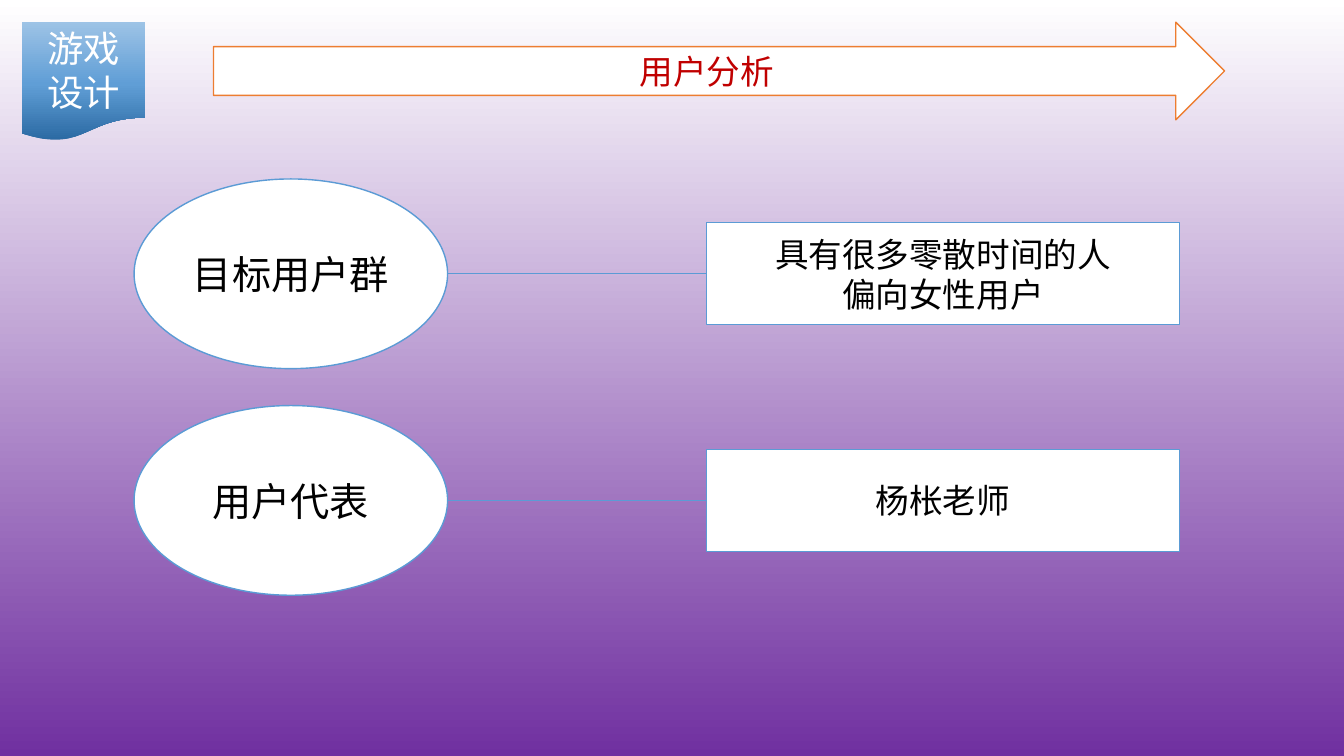
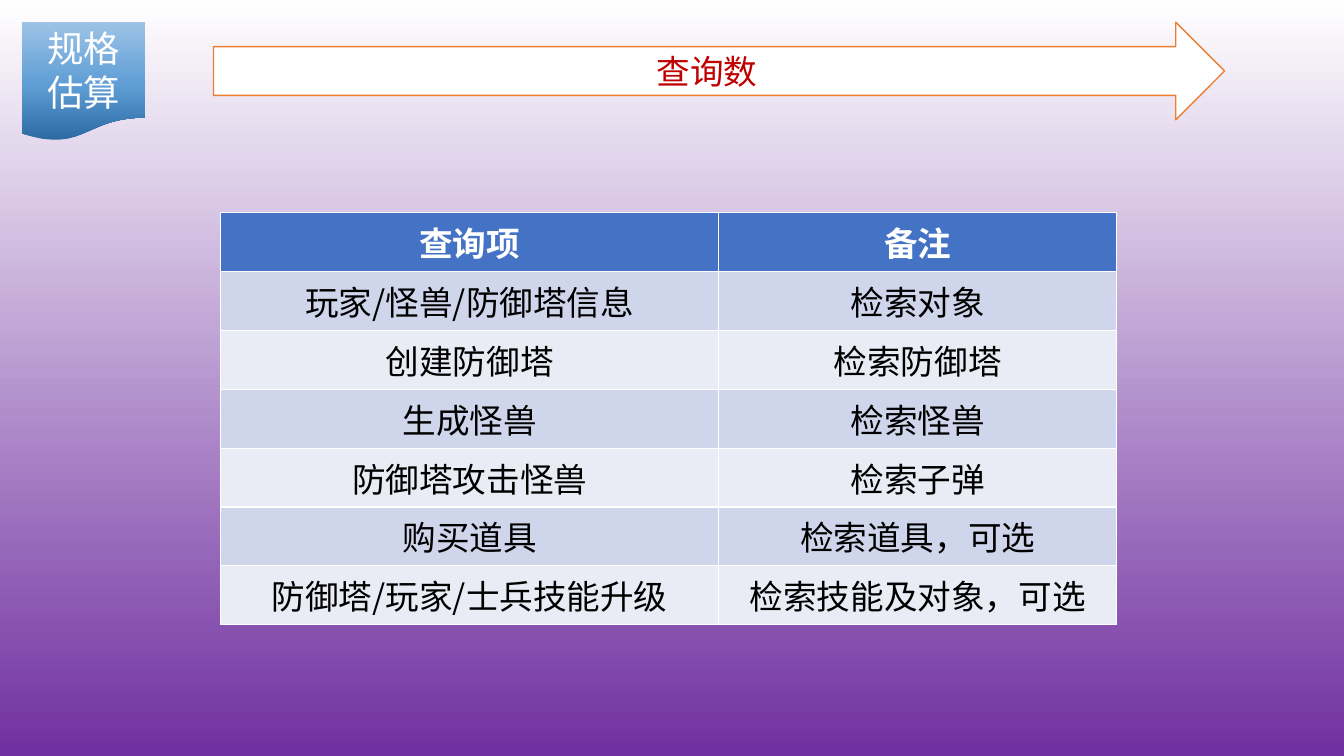
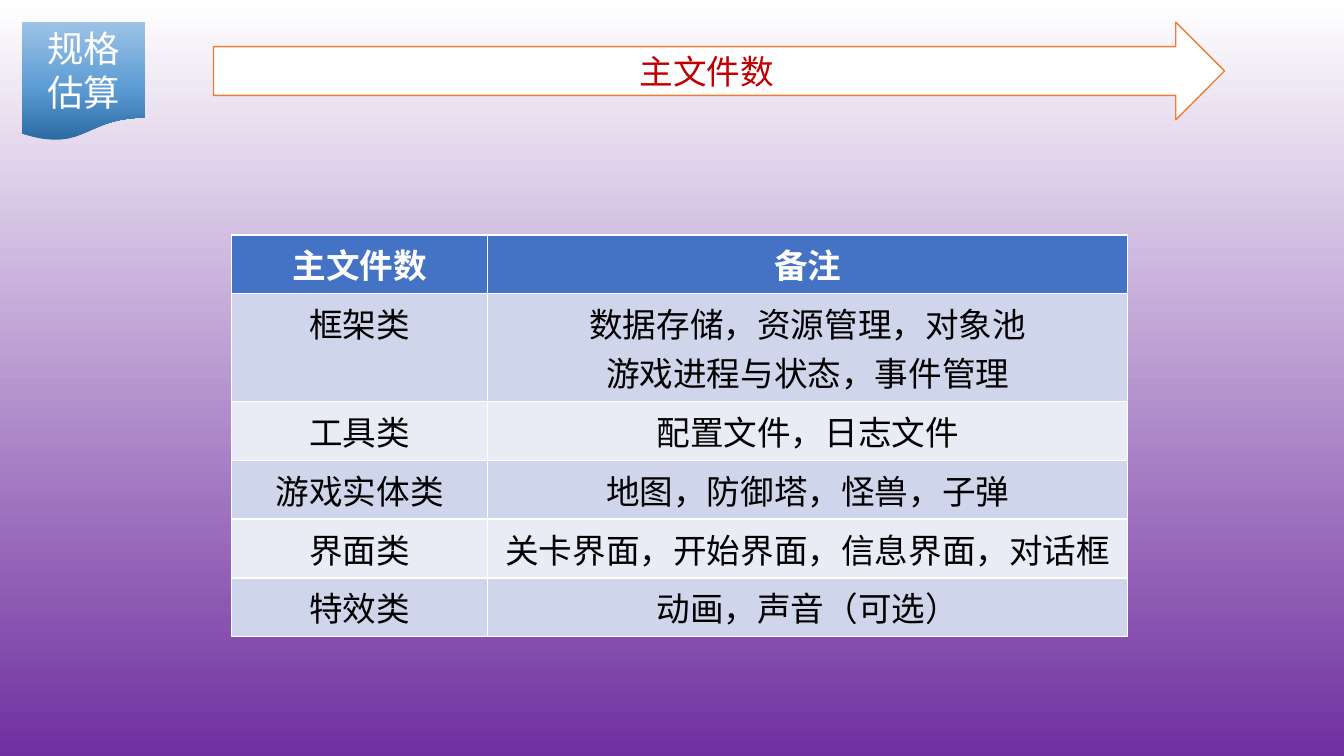
import copy

import pptx
import pptx.dml.color
import pptx.enum.shapes
import pptx.enum.text
import pptx.oxml.ns
import pptx.util
from lxml import etree

Cm = pptx.util.Cm
Pt = pptx.util.Pt
SHAPES = pptx.enum.shapes.MSO_SHAPE

FONT = "Noto Sans CJK SC"
COLORS = {
    "white": "FFFFFF",
    "black": "000000",
    "title": "C00000",
    "arrow_line": "ED7D31",
    "box_line": "5B9BD5",
    "purple": "7030A0",
    "tag_dark": "2A69A2",
    "tag_middle": "609ED6",
    "tag_light": "9DC3E6",
    "header": "4472C4",
    "band_dark": "CFD5EA",
    "band_light": "E9EBF5",
}

USER_ROWS = [
    ("目标用户群", "具有很多零散时间的人\n偏向女性用户"),
    ("用户代表", "杨枨老师"),
]
QUERY_ROWS = [
    ("查询项", "备注"),
    ("玩家/怪兽/防御塔信息", "检索对象"),
    ("创建防御塔", "检索防御塔"),
    ("生成怪兽", "检索怪兽"),
    ("防御塔攻击怪兽", "检索子弹"),
    ("购买道具", "检索道具，可选"),
    ("防御塔/玩家/士兵技能升级", "检索技能及对象，可选"),
]
FILE_ROWS = [
    ("主文件数", "备注"),
    ("框架类", "数据存储，资源管理，对象池\n游戏进程与状态，事件管理"),
    ("工具类", "配置文件，日志文件"),
    ("游戏实体类", "地图，防御塔，怪兽，子弹"),
    ("界面类", "关卡界面，开始界面，信息界面，对话框"),
    ("特效类", "动画，声音（可选）"),
]


def rgb(name):
    """Return the named colour as an RGBColor."""
    return pptx.dml.color.RGBColor.from_string(COLORS[name])


def write_text(text_frame, text, size=24, color="black", bold=False):
    """Write centred text, one paragraph per line."""
    text_frame.text = text
    for paragraph in text_frame.paragraphs:
        paragraph.alignment = pptx.enum.text.PP_ALIGN.CENTER
        for run in paragraph.runs:
            run.font.name = FONT
            run.font.size = Pt(size)
            run.font.bold = bold
            run.font.color.rgb = rgb(color)
            east_asian = etree.SubElement(
                run.font._element, pptx.oxml.ns.qn("a:ea"))
            east_asian.set("typeface", FONT)


def set_gradient(fill, element, stops, angle):
    """Give a fill a linear gradient of (position, colour) stops."""
    fill.gradient()
    fill.gradient_angle = angle
    stop_list = element.xpath(".//a:gsLst")[0]
    while len(stop_list) < len(stops):
        stop_list.append(copy.deepcopy(stop_list[0]))
    for stop, (position, color) in zip(fill.gradient_stops, stops):
        stop.position = position
        stop.color.rgb = rgb(color)


def add_shape(slide, kind, left, top, width, height, line="box_line"):
    """Add a white preset shape, outlined in the named colour."""
    shape = slide.shapes.add_shape(kind, left, top, width, height)
    shape.shadow.inherit = False
    shape.fill.solid()
    shape.fill.fore_color.rgb = rgb("white")
    if line:
        shape.line.color.rgb = rgb(line)
        shape.line.width = Pt(1)
    else:
        shape.line.fill.background()
    return shape


def add_link(slide, start, end, middle):
    """Join the right side of one shape to the left side of another."""
    connector = slide.shapes.add_connector(
        pptx.enum.shapes.MSO_CONNECTOR.ELBOW,
        start.left + start.width, middle, end.left, middle)
    connector.line.color.rgb = rgb("box_line")
    connector.line.width = Pt(1)
    etree.SubElement(connector._element.spPr,
                     pptx.oxml.ns.qn("a:effectLst"))


def add_page(presentation, section, heading):
    """Add a slide with its section tag and its title on an arrow."""
    slide = presentation.slides.add_slide(presentation.slide_layouts[5])
    tag = add_shape(slide, SHAPES.FLOWCHART_DOCUMENT,
                    Cm(0.56), Cm(0.56), Cm(3.1), Cm(3), line=None)
    set_gradient(tag.fill, tag._element,
                 [(0, "tag_dark"), (0.48, "tag_middle"), (1, "tag_light")], 90)
    write_text(tag.text_frame, section, size=26, color="white")

    arrow = add_shape(slide, SHAPES.RIGHT_ARROW, Cm(5.38), Cm(0.56),
                      Cm(25.48), Cm(2.46), line="arrow_line")
    title = slide.shapes.title
    title.left, title.top = arrow.left, arrow.top
    title.width, title.height = Cm(24.87), arrow.height
    title.text_frame.auto_size = pptx.enum.text.MSO_AUTO_SIZE.NONE
    write_text(title.text_frame, heading, color="title")
    slide.shapes._spTree.append(title._element)
    return slide


def add_user_rows(slide, rows):
    """Add an ellipse linked to a description box for each row."""
    for index, (label, description) in enumerate(rows):
        middle = Cm(6.9 + 5.71 * index)
        box_height, ellipse_height = Cm(2.57), Cm(4.78)
        box = add_shape(slide, SHAPES.RECTANGLE, Cm(17.81),
                        middle - box_height // 2, Cm(11.91), box_height)
        write_text(box.text_frame, description)
        ellipse = add_shape(slide, SHAPES.OVAL, Cm(3.38),
                            middle - ellipse_height // 2, Cm(7.9),
                            ellipse_height)
        write_text(ellipse.text_frame, label, size=28)
        add_link(slide, ellipse, box, middle)


def add_banded_table(slide, rows, left, top, height, widths):
    """Add a table with a blue header and alternating bands."""
    table = slide.shapes.add_table(
        len(rows), len(widths), left, top, sum(widths), height).table
    for column, width in zip(table.columns, widths):
        column.width = width
    for row_index, row in enumerate(rows):
        header = row_index == 0
        band = "band_dark" if row_index % 2 else "band_light"
        for column_index, text in enumerate(row):
            cell = table.cell(row_index, column_index)
            cell.fill.solid()
            cell.fill.fore_color.rgb = rgb("header" if header else band)
            write_text(cell.text_frame, text, bold=header,
                       color="white" if header else "black")


def main():
    """Build and save the presentation."""
    presentation = pptx.Presentation()
    presentation.slide_width = Cm(33.87)
    presentation.slide_height = Cm(19.05)
    master = presentation.slide_master
    set_gradient(master.background.fill, master._element,
                 [(0, "white"), (1, "purple")], 270)

    users = add_page(presentation, "游戏设计", "用户分析")
    add_user_rows(users, USER_ROWS)

    queries = add_page(presentation, "规格估算", "查询数")
    add_banded_table(queries, QUERY_ROWS, Cm(5.56), Cm(5.36), Cm(8.89),
                     [Cm(12.55), Cm(10.03)])

    files = add_page(presentation, "规格估算", "主文件数")
    add_banded_table(files, FILE_ROWS, Cm(5.84), Cm(5.92), Cm(8.64),
                     [Cm(6.45), Cm(16.13)])

    presentation.save("out.pptx")


main()
